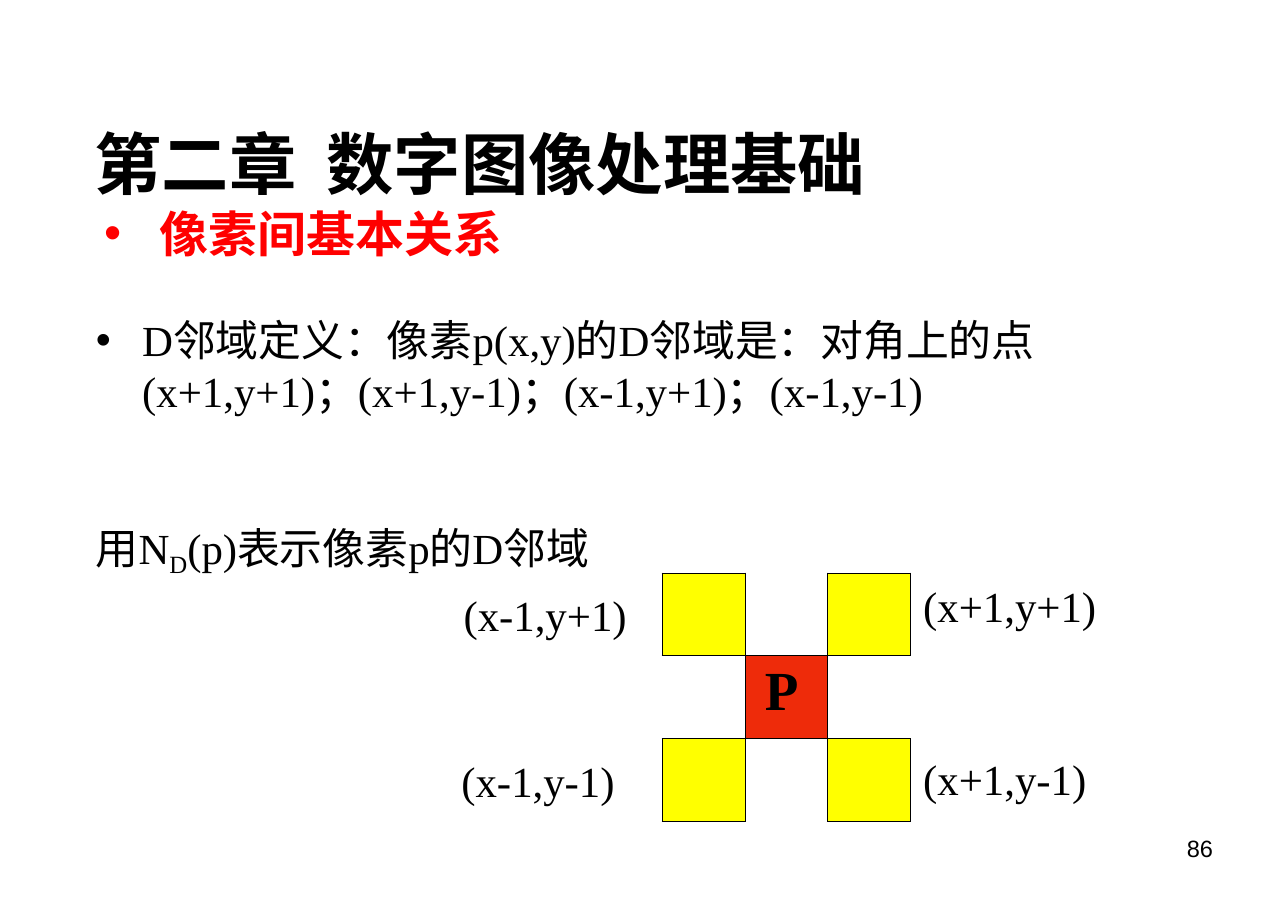
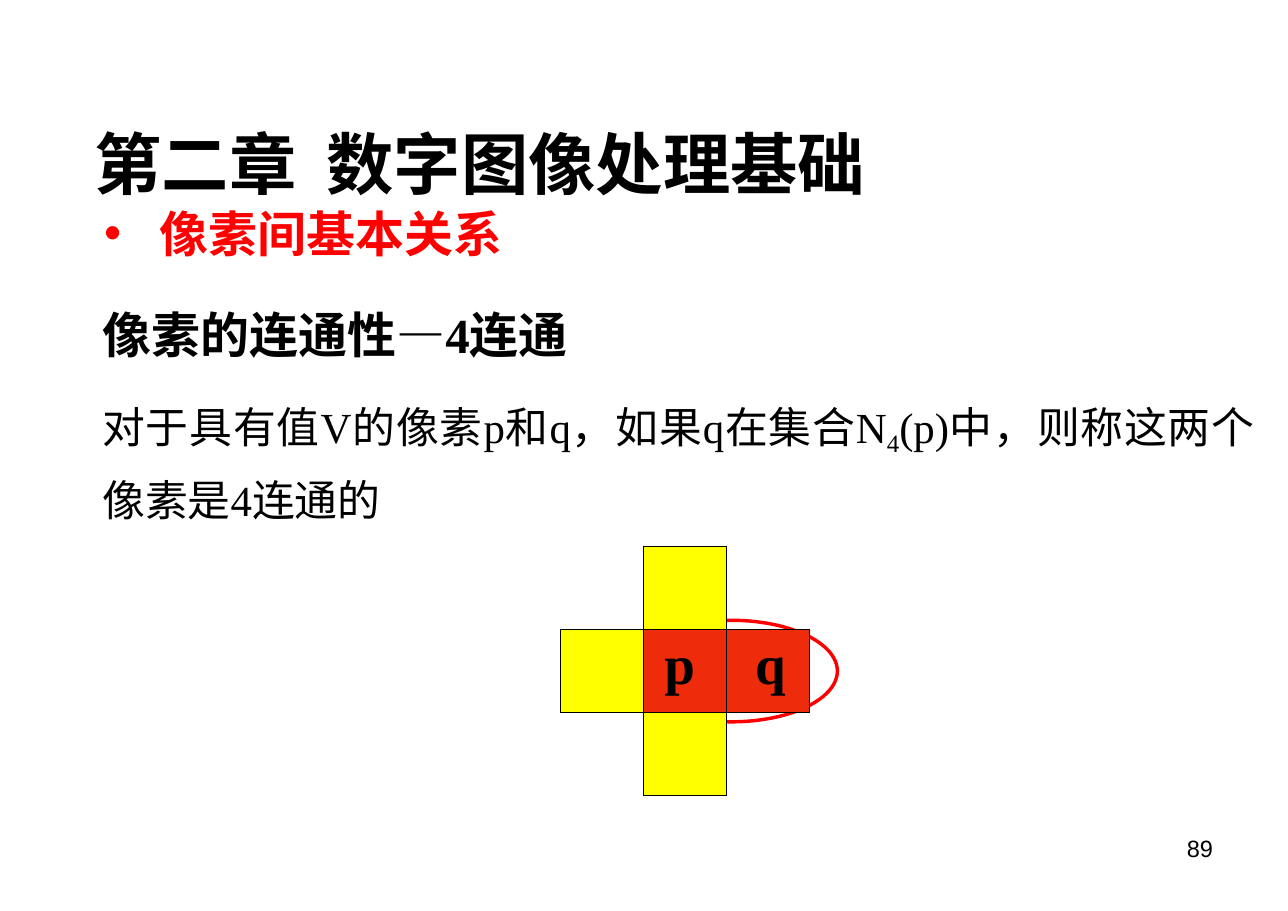
from dataclasses import dataclass

from lxml.etree import SubElement
from pptx import Presentation
from pptx.dml.color import RGBColor
from pptx.enum.shapes import MSO_SHAPE
from pptx.enum.text import MSO_ANCHOR, MSO_AUTO_SIZE, PP_ALIGN
from pptx.oxml.ns import qn
from pptx.util import Cm, Pt


@dataclass(frozen=True)
class Style:
    """Look of one kind of text; line is the exact line height in points."""
    size: float
    line: float
    bold: bool = False
    color: str = "000000"
    latin: str = "Times New Roman"


@dataclass(frozen=True)
class Theme:
    """Colours, fonts and type sizes shared by the deck."""
    asian: str = "Noto Sans CJK SC"
    black: str = "000000"
    red: str = "FF0000"
    pixel: str = "FFFF00"
    center: str = "EE2B0A"
    border: float = 0.75
    ring: float = 2.25
    cell: float = 1.91
    title: Style = Style(44, 66, True)
    topic: Style = Style(32, 37.5, True, "FF0000", "Noto Sans CJK SC")
    heading: Style = Style(32, 48, True)
    body: Style = Style(28, 33.5)
    loose: Style = Style(28, 44)
    label: Style = Style(28, 33)
    symbol: Style = Style(36, 41.5, True)
    number: Style = Style(15.4, 18, latin="Arial")


@dataclass(frozen=True)
class Box:
    """Rectangle in centimetres."""
    left: float
    top: float
    width: float
    height: float

    def inner(self, left, top, width, height):
        """Return a box placed relative to this one."""
        return Box(self.left + left, self.top + top, width, height)

    def lengths(self):
        """Return the four measures as lengths."""
        return [Cm(n) for n in (self.left, self.top, self.width, self.height)]


THEME = Theme()


def add_bullet(para, color, hang):
    """Give a paragraph a round bullet with a hanging indent."""
    props = para._p.get_or_add_pPr()
    props.set("marL", str(Cm(hang)))
    props.set("indent", str(-Cm(hang)))
    tint = SubElement(props, qn("a:buClr"))
    SubElement(tint, qn("a:srgbClr")).set("val", color)
    SubElement(props, qn("a:buFont")).set("typeface", "Arial")
    SubElement(props, qn("a:buChar")).set("char", "•")


def add_tab(para, position):
    """Add one left tab stop."""
    stops = SubElement(para._p.get_or_add_pPr(), qn("a:tabLst"))
    stop = SubElement(stops, qn("a:tab"))
    stop.set("pos", str(Cm(position)))
    stop.set("algn", "l")


def style_paragraph(para, style, align=PP_ALIGN.LEFT):
    """Apply a text style to a whole paragraph."""
    para.alignment = align
    para.line_spacing = Pt(style.line)
    para.space_before = Pt(0)
    font = para.font
    font.size, font.bold, font.name = Pt(style.size), style.bold, style.latin
    font.color.rgb = RGBColor.from_string(style.color)
    props = para._p.pPr.find(qn("a:defRPr"))
    SubElement(props, qn("a:ea")).set("typeface", THEME.asian)


def write(para, *pieces):
    """Add runs to a paragraph; every second piece is a subscript."""
    for index, piece in enumerate(pieces):
        span = para.add_run()
        span.text = piece
        if index % 2:
            span._r.get_or_add_rPr().set("baseline", "-21000")


def prepare_frame(shape):
    """Make a shape's text frame plain and return it."""
    frame = shape.text_frame
    frame.word_wrap = True
    frame.auto_size = MSO_AUTO_SIZE.NONE
    frame.vertical_anchor = MSO_ANCHOR.TOP
    frame.margin_left = frame.margin_top = 0
    frame.margin_right = frame.margin_bottom = 0
    return frame


def add_text(page, box, style, *pieces, align=PP_ALIGN.LEFT, hang=0):
    """Add a text box holding one paragraph, bulleted if it has a hang."""
    frame = prepare_frame(page.shapes.add_textbox(*box.lengths()))
    para = frame.paragraphs[0]
    write(para, *pieces)
    if hang:
        add_bullet(para, style.color, hang)
    style_paragraph(para, style, align)
    return frame


def add_page(deck, number):
    """Add a page with chapter title, topic line and page number."""
    page = deck.slides.add_slide(deck.slide_layouts[5])
    title = page.shapes.title
    title.left, title.top, title.width, title.height = Box(2.18, 2.36, 26, 2.4).lengths()
    para = prepare_frame(title).paragraphs[0]
    write(para, "第二章\t数字图像处理基础")
    add_tab(para, 5.35)
    style_paragraph(para, THEME.title)
    add_text(page, Box(2.4, 4.72, 15.4, 1.4), THEME.topic, "像素间基本关系", hang=1.28)
    add_text(page, Box(21.29, 19.25, 6.68, 0.8), THEME.number, number, align=PP_ALIGN.RIGHT)
    return page


def set_border(cell, side, visible):
    """Draw or clear one side of a table cell."""
    line = SubElement(cell._tc.get_or_add_tcPr(), qn(f"a:ln{side}"))
    line.set("w", str(Pt(THEME.border)))
    if visible:
        fill = SubElement(line, qn("a:solidFill"))
        SubElement(fill, qn("a:srgbClr")).set("val", THEME.black)
    else:
        SubElement(line, qn("a:noFill"))


def add_pixel_grid(page, box, colors, symbols):
    """Add a square grid; colors and symbols are keyed by row and column."""
    count = round(box.width / THEME.cell)
    table = page.shapes.add_table(count, count, *box.lengths()).table
    table.first_row = table.horz_banding = False
    for index in range(count):
        table.rows[index].height = table.columns[index].width = Cm(THEME.cell)
    sides = {"L": (0, -1), "R": (0, 1), "T": (-1, 0), "B": (1, 0)}
    for row in range(count):
        for column in range(count):
            place = (row, column)
            cell = table.cell(row, column)
            for side, (down, right) in sides.items():
                neighbour = (row + down, column + right)
                set_border(cell, side, place in colors or neighbour in colors)
            if place in colors:
                cell.fill.solid()
                cell.fill.fore_color.rgb = RGBColor.from_string(colors[place])
            else:
                cell.fill.background()
            if place in symbols:
                text, indent = symbols[place]
                cell.margin_left, cell.margin_top = Cm(indent), Cm(0.07)
                cell.margin_right = cell.margin_bottom = 0
                para = cell.text_frame.paragraphs[0]
                write(para, text)
                style_paragraph(para, THEME.symbol)


def add_diagonal_definition(page, box):
    """Add the definition of the D neighbourhood."""
    frame = add_text(
        page, box, THEME.body,
        "D邻域定义：像素p(x,y)的D邻域是：对角上的点 "
        "(x+1,y+1)；(x+1,y-1)；(x-1,y+1)；(x-1,y-1)",
        hang=1.07,
    )
    notation = frame.add_paragraph()
    write(notation, "用N", "D", "(p)表示像素p的D邻域")
    style_paragraph(notation, THEME.body)
    notation.space_before = Pt(72)


def add_diagonal_figure(page, box):
    """Add the diagonal neighbours of P with their coordinates."""
    labels = {
        "(x-1,y+1)": (-4.58, 0.38),
        "(x+1,y+1)": (6.02, 0.18),
        "(x-1,y-1)": (-4.63, 4.21),
        "(x+1,y-1)": (6.02, 4.16),
    }
    for text, (left, top) in labels.items():
        add_text(page, box.inner(left, top, 4.52, 1.17), THEME.label, text)
    colors = {(row, column): THEME.pixel for row in (0, 2) for column in (0, 2)}
    colors[1, 1] = THEME.center
    add_pixel_grid(page, box, colors, {(1, 1): ("P", 0.46)})


def add_connected_text(page, box):
    """Add the heading and definition of 4-connectivity."""
    add_text(page, box.inner(0, 0, 18.4, 1.7), THEME.heading, "像素的连通性—4连通")
    add_text(
        page, box.inner(0, 2.31, box.width, 3.1), THEME.loose,
        "对于具有值V的像素p和q，如果q在集合N", "4", "(p)中，则称这两个像素是4连通的",
        align=PP_ALIGN.JUSTIFY,
    )


def add_connected_figure(page, box):
    """Add the cross of neighbours with a ring around p and q."""
    ring = page.shapes.add_shape(MSO_SHAPE.OVAL, *box.inner(1.5, 1.7, 4.88, 2.34).lengths())
    ring.shadow.inherit = False
    ring.fill.background()
    ring.line.color.rgb = RGBColor.from_string(THEME.red)
    ring.line.width = Pt(THEME.ring)
    colors = {place: THEME.pixel for place in ((0, 1), (1, 0), (2, 1))}
    colors[1, 1] = colors[1, 2] = THEME.center
    add_pixel_grid(page, box, colors, {(1, 1): ("p", 0.48), (1, 2): ("q", 0.66)})


def main():
    """Build and save the deck."""
    deck = Presentation()
    deck.slide_width, deck.slide_height = Cm(29.7), Cm(21)
    grid = 3 * THEME.cell

    page = add_page(deck, "86")
    add_diagonal_definition(page, Box(2.21, 7.24, 25.5, 6.2))
    add_diagonal_figure(page, Box(15.27, 13.21, grid, grid))

    page = add_page(deck, "89")
    add_connected_text(page, Box(2.36, 6.68, 26.57, 5.5))
    add_connected_figure(page, Box(12.93, 12.6, grid, grid))

    deck.save("out.pptx")


if __name__ == "__main__":
    main()
